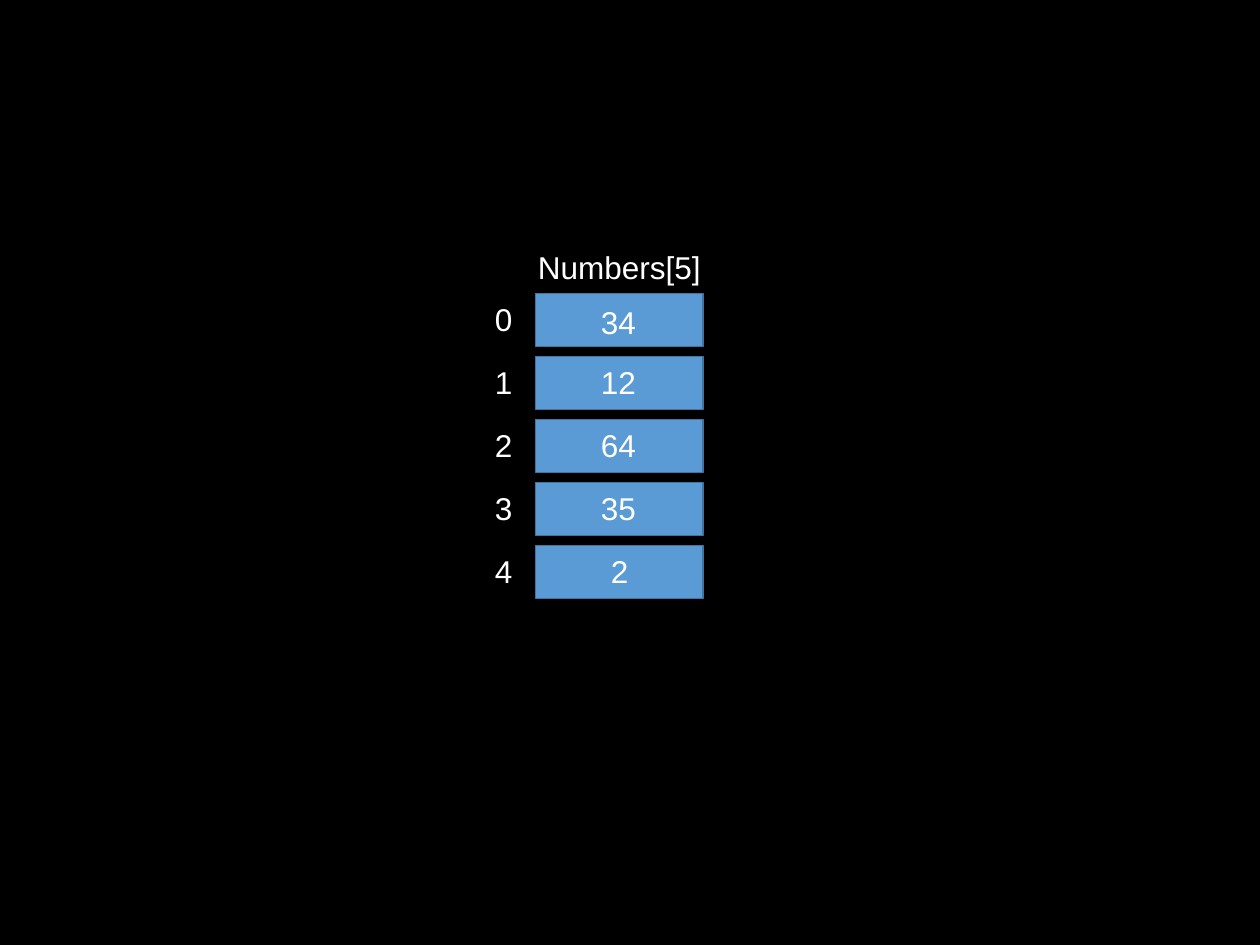
import dataclasses

import pptx
import pptx.dml.color
import pptx.enum.shapes
import pptx.enum.text
import pptx.util

Inches = pptx.util.Inches


@dataclasses.dataclass(frozen=True)
class Theme:
    """Colours and type sizes of the slide."""

    background: str = "000000"
    cell_fill: str = "5B9BD5"
    cell_line: str = "43739E"
    text: str = "FFFFFF"
    font: str = "Arial"
    text_size: int = 18
    line_width: int = 1


class SlideBuilder:
    """Draws styled elements on the current slide."""

    def __init__(self, slide, theme):
        self.slide = slide
        self.theme = theme

    def color(self, value):
        """Return the colour for a hexadecimal value."""
        return pptx.dml.color.RGBColor.from_string(value)

    def background(self):
        """Fill the slide background."""
        fill = self.slide.background.fill
        fill.solid()
        fill.fore_color.rgb = self.color(self.theme.background)

    def cell(self, left, top, width, height):
        """Draw one array cell."""
        shape = self.slide.shapes.add_shape(
            pptx.enum.shapes.MSO_SHAPE.RECTANGLE,
            Inches(left), Inches(top), Inches(width), Inches(height),
        )
        shape.shadow.inherit = False
        shape.fill.solid()
        shape.fill.fore_color.rgb = self.color(self.theme.cell_fill)
        shape.line.color.rgb = self.color(self.theme.cell_line)
        shape.line.width = pptx.util.Pt(self.theme.line_width)

    def label(self, text, left, top, width, height=0.4):
        """Write one line of text that sizes its own box."""
        shape = self.slide.shapes.add_textbox(
            Inches(left), Inches(top), Inches(width), Inches(height)
        )
        text_frame = shape.text_frame
        text_frame.word_wrap = False
        text_frame.auto_size = pptx.enum.text.MSO_AUTO_SIZE.SHAPE_TO_FIT_TEXT
        text_frame.text = text
        font = text_frame.paragraphs[0].runs[0].font
        font.name = self.theme.font
        font.size = pptx.util.Pt(self.theme.text_size)
        font.color.rgb = self.color(self.theme.text)


def main():
    """Build the array diagram and save it."""
    presentation = pptx.Presentation()
    presentation.slide_width = Inches(10)
    presentation.slide_height = Inches(7.5)
    slide = presentation.slides.add_slide(presentation.slide_layouts[6])
    builder = SlideBuilder(slide, Theme())
    builder.background()

    numbers = [34, 12, 64, 35, 2]
    first_top, row_pitch = 2.33, 0.5
    tops = [first_top + index * row_pitch for index in range(len(numbers))]
    value_boxes = {1: (4.75, 0.34), 2: (4.67, 0.48)}

    for top in tops:
        builder.cell(4.25, top, 1.33, 0.42)
    builder.label(f"Numbers[{len(numbers)}]", 4.17, 1.92, 1.51)
    for index, (number, top) in enumerate(zip(numbers, tops)):
        value = str(number)
        left, width = value_boxes[len(value)]
        value_drop = 0.03 if index == 0 else 0
        builder.label(value, left, top + value_drop, width)
        builder.label(str(index), 3.83, top, 0.34)

    presentation.save("out.pptx")


if __name__ == "__main__":
    main()
